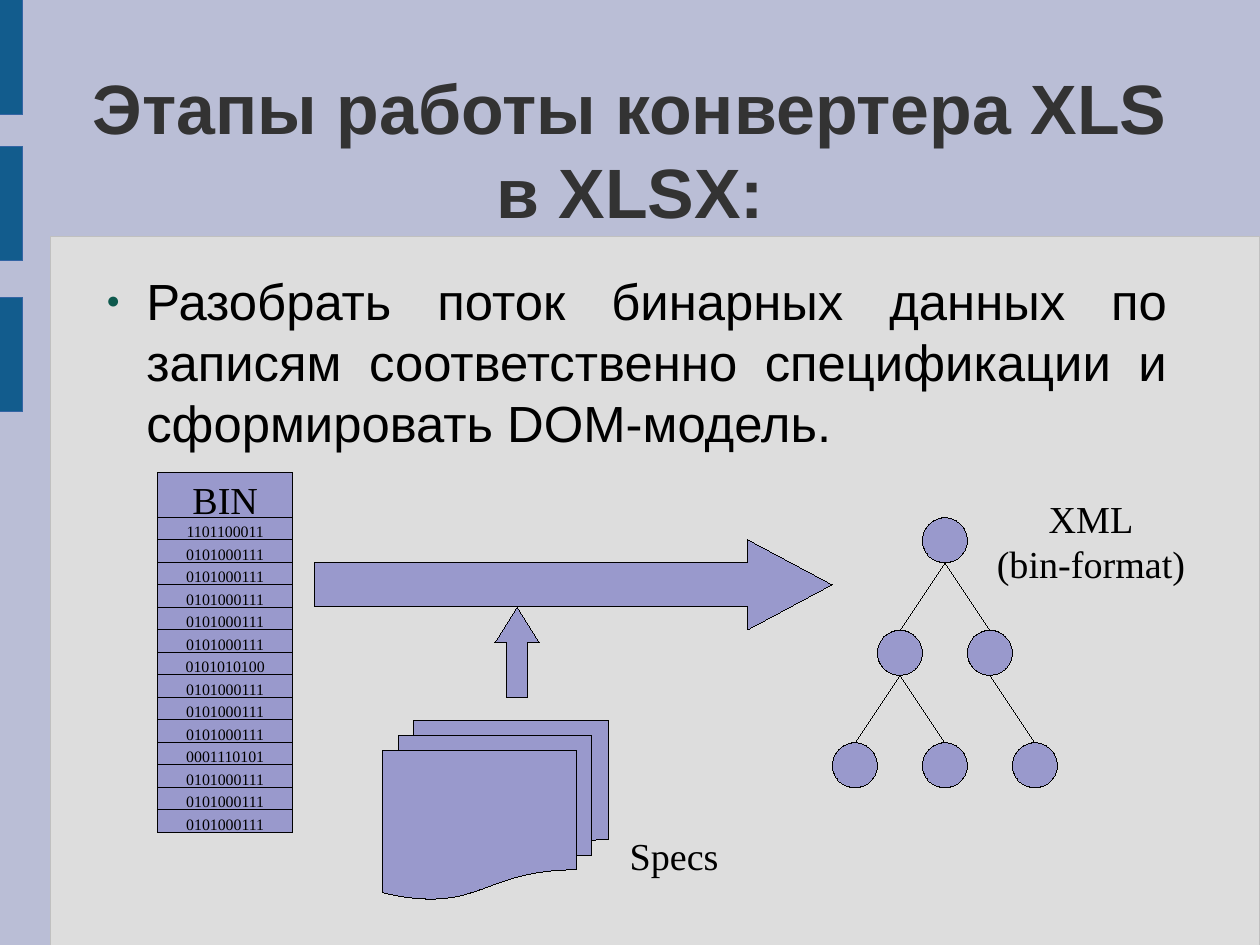
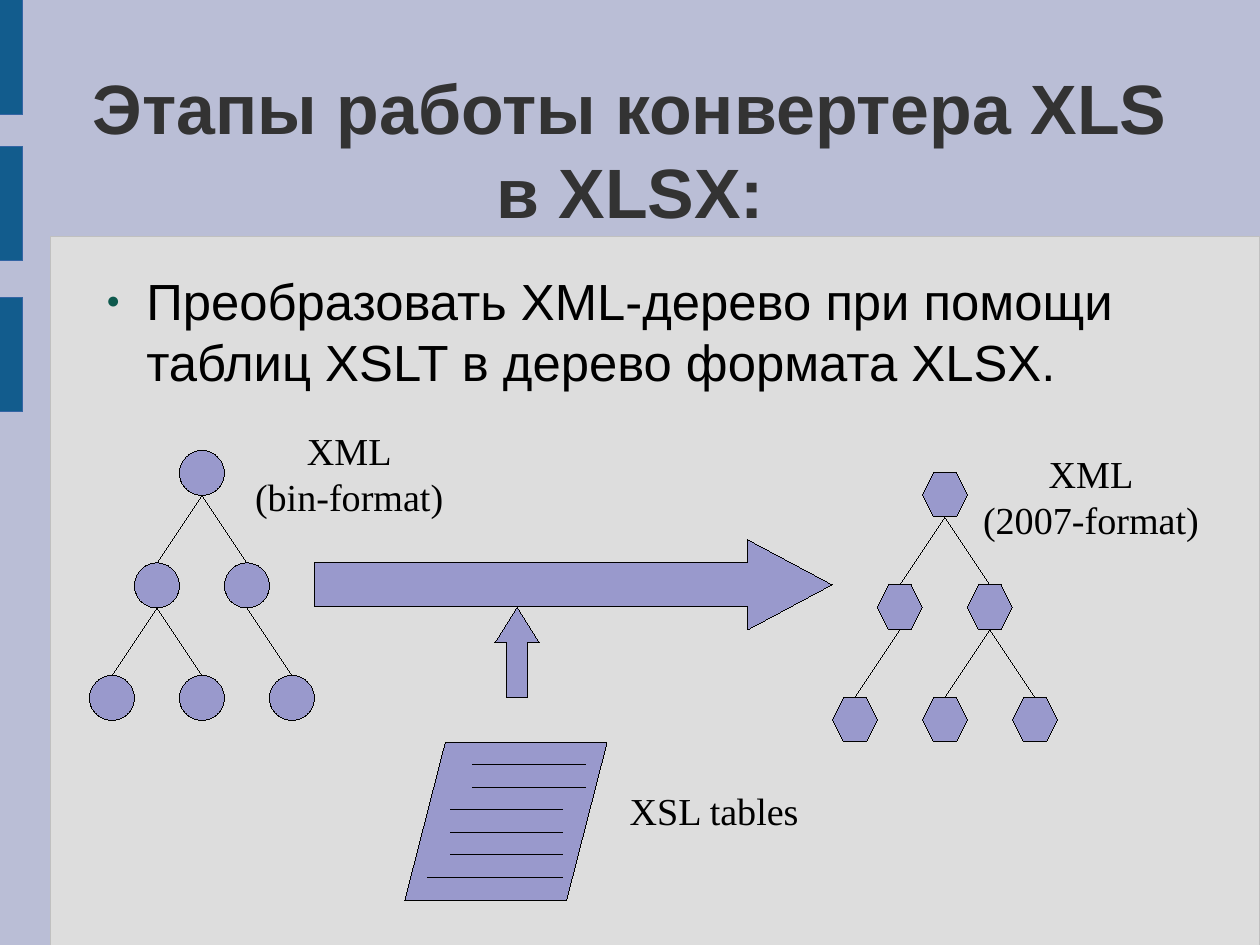
from dataclasses import dataclass

from lxml import etree
from pptx import Presentation
from pptx.dml.color import RGBColor
from pptx.enum.shapes import MSO_CONNECTOR, MSO_SHAPE
from pptx.enum.text import MSO_ANCHOR, PP_ALIGN
from pptx.oxml.ns import qn
from pptx.util import Inches, Pt

STRAIGHT = MSO_CONNECTOR.STRAIGHT
RECTANGLE = MSO_SHAPE.RECTANGLE
ELLIPSE = MSO_SHAPE.OVAL
HEXAGON = MSO_SHAPE.HEXAGON
RIGHT_ARROW = MSO_SHAPE.RIGHT_ARROW
UP_ARROW = MSO_SHAPE.UP_ARROW
DOCUMENTS = MSO_SHAPE.FLOWCHART_MULTIDOCUMENT
SHEET = MSO_SHAPE.FLOWCHART_DATA
TOP, MIDDLE = MSO_ANCHOR.TOP, MSO_ANCHOR.MIDDLE
LEFT, CENTER, JUSTIFY = PP_ALIGN.LEFT, PP_ALIGN.CENTER, PP_ALIGN.JUSTIFY


@dataclass(frozen=True)
class Theme:
    background: str = "BABED6"
    panel: str = "DDDDDD"
    panel_edge: str = "C0C0C0"
    band: str = "125C8D"
    band_edge: str = "3465A4"
    title: str = "333333"
    ink: str = "000000"
    bullet: str = "0E594D"
    figure: str = "9999CC"
    heading_font: str = "Arial"
    label_font: str = "Times New Roman"
    title_size: int = 44
    body_size: int = 32
    label_size: int = 24
    bits_size: int = 10
    hairline: float = 0.01


THEME = Theme()
TITLE = "Этапы работы конвертера XLS в XLSX:"

# The slide is 28 by 21 centimetres, and the diagrams sit on a metric grid
CM = 1 / 2.54
SLIDE_WIDTH, SLIDE_HEIGHT = 28 * CM, 21 * CM
ROW = 0.5 * CM

# Tree geometry: node size, half the gap between siblings, level height
NODE, HALF_GAP, LEVEL = CM, CM, 2.5 * CM
# Each node: column in half gaps from the root, level
TREE_NODES = [(0, 0), (-1, 1), (1, 1), (-2, 2), (0, 2), (2, 2)]
LEFT_HEAVY = [(0, 1), (0, 2), (1, 3), (1, 4), (2, 5)]
RIGHT_HEAVY = [(0, 1), (0, 2), (1, 3), (2, 4), (2, 5)]

COMMON_BITS = "0101000111"
OTHER_BITS = {0: "1101100011", 6: "0101010100", 10: "0001110101"}
BITS = [OTHER_BITS.get(row, COMMON_BITS) for row in range(14)]


def color(value):
    return RGBColor.from_string(value)


def write(frame, text, size=THEME.label_size, font=THEME.label_font,
          ink=THEME.ink, bold=False, align=LEFT, anchor=TOP,
          margin_top=0, bullet=False):
    """Put one formatted paragraph into a text frame."""
    frame.word_wrap = True
    frame.vertical_anchor = anchor
    frame.margin_left = frame.margin_right = frame.margin_bottom = 0
    frame.margin_top = Inches(margin_top)
    paragraph = frame.paragraphs[0]
    paragraph.text = text
    paragraph.alignment = align
    if bullet:
        add_bullet(paragraph)
    for run in paragraph.runs:
        run.font.size = Pt(size)
        run.font.name = font
        run.font.bold = bold
        run.font.color.rgb = color(ink)


def add_bullet(paragraph):
    properties = paragraph._p.get_or_add_pPr()
    properties.set("marL", str(Inches(0.47)))
    properties.set("indent", str(Inches(-0.35)))
    tint = etree.SubElement(properties, qn("a:buClr"))
    etree.SubElement(tint, qn("a:srgbClr"), val=THEME.bullet)
    etree.SubElement(properties, qn("a:buSzPct"), val="45000")
    etree.SubElement(properties, qn("a:buFont"), typeface=THEME.heading_font)
    etree.SubElement(properties, qn("a:buChar"), char="●")


def add_text(slide, text, left, top, width, height, **style):
    box = slide.shapes.add_textbox(*map(Inches, (left, top, width, height)))
    write(box.text_frame, text, **style)


def add_figure(slide, kind, left, top, width, height, fill=THEME.figure,
               edge=THEME.ink, adjustments=()):
    figure = slide.shapes.add_shape(
        kind, *map(Inches, (left, top, width, height)))
    figure.shadow.inherit = False
    figure.fill.solid()
    figure.fill.fore_color.rgb = color(fill)
    figure.line.color.rgb = color(edge)
    figure.line.width = Pt(THEME.hairline)
    for index, value in enumerate(adjustments):
        figure.adjustments[index] = value
    return figure


def add_line(slide, *ends):
    line = slide.shapes.add_connector(STRAIGHT, *map(Inches, ends))
    line.line.color.rgb = color(THEME.ink)
    line.line.width = Pt(THEME.hairline)
    etree.SubElement(line._element.spPr, qn("a:effectLst"))


def add_tree(slide, kind, root_left, root_top, branches):
    corners = [(root_left + column * HALF_GAP, root_top + level * LEVEL)
               for column, level in TREE_NODES]
    for parent, child in branches:
        parent_left, parent_top = corners[parent]
        child_left, child_top = corners[child]
        add_line(slide, parent_left + NODE / 2, parent_top + NODE,
                 child_left + NODE / 2, child_top)
    for left, top in corners:
        add_figure(slide, kind, left, top, NODE, NODE)


def add_bin_file(slide, left, top, width, height):
    """Draw a file as a block ruled into records of bits."""
    block = add_figure(slide, RECTANGLE, left, top, width, height)
    write(block.text_frame, "BIN", align=CENTER, margin_top=0.04)
    first_record = top + height - len(BITS) * ROW
    for index, bits in enumerate(BITS):
        record_top = first_record + index * ROW
        add_line(slide, left, record_top, left + width, record_top)
        add_text(slide, bits, left, record_top, width, 0.23, align=CENTER,
                 size=THEME.bits_size, margin_top=0.04)


def add_process_arrows(slide):
    add_figure(slide, RIGHT_ARROW, 2.75, 4.72, 4.53, 0.79,
               adjustments=(0.487, 0.935))
    add_figure(slide, UP_ARROW, 4.33, 5.31, 0.39, 0.79,
               adjustments=(0.459, 0.803))


def add_stage(deck, step, align):
    """Start a slide with the frame, title and bullet all stages share."""
    slide = deck.slides.add_slide(deck.slide_layouts[6])
    slide.background.fill.solid()
    slide.background.fill.fore_color.rgb = color(THEME.background)
    add_figure(slide, RECTANGLE, 0.44, 2.07, 10.58, 6.2,
               THEME.panel, THEME.panel_edge)
    for band_top in (0, 1.28, 2.6):
        add_figure(slide, RECTANGLE, 0, band_top, 0.2, 1,
                   THEME.band, THEME.band_edge)
    add_text(slide, TITLE, 0.81, 0.61, 9.41, 1.38, anchor=MIDDLE,
             size=THEME.title_size, font=THEME.heading_font,
             ink=THEME.title, bold=True, align=CENTER)
    add_text(slide, step, 0.81, 2.36, 9.41, 1.75, size=THEME.body_size,
             font=THEME.heading_font, align=align, bullet=True)
    add_process_arrows(slide)
    return slide


def build_parsing(deck):
    slide = add_stage(
        deck, "Разобрать поток бинарных данных по записям соответственно "
        "спецификации и сформировать DOM-модель.", JUSTIFY)
    # Binary records
    add_bin_file(slide, 1.38, 4.13, 1.18, 3.15)
    # Specifications
    add_figure(slide, DOCUMENTS, 3.35, 6.3, 1.97, 1.57)
    add_text(slide, "Specs", 5.51, 7.28, 2.36, 0.46)
    # Resulting model
    add_tree(slide, ELLIPSE, 8.07, 4.53, LEFT_HEAVY)
    add_text(slide, "XML\n(bin-format)", 8.46, 4.33, 2.17, 0.91, align=CENTER)


def build_transformation(deck):
    slide = add_stage(
        deck, "Преобразовать XML-дерево при помощи таблиц XSLT "
        "в дерево формата XLSX.", LEFT)
    # Source tree
    add_tree(slide, ELLIPSE, 1.57, 3.94, LEFT_HEAVY)
    add_text(slide, "XML\n(bin-format)", 1.97, 3.74, 2.17, 0.91, align=CENTER)
    # Stylesheet with its text lines
    add_figure(slide, SHEET, 3.54, 6.5, 1.77, 1.38)
    line_spans = [(4.13, 5.12)] * 2 + [(3.94, 4.92)] * 3 + [(3.74, 4.92)]
    for row, (start, end) in enumerate(line_spans):
        line_top = 6.69 + row * ROW
        add_line(slide, start, line_top, end, line_top)
    add_text(slide, "XSL tables", 5.51, 6.89, 2.36, 0.46)
    # Resulting tree
    add_tree(slide, HEXAGON, 8.07, 4.13, RIGHT_HEAVY)
    add_text(slide, "XML\n(2007-format)", 8.46, 3.94, 2.17, 0.91, align=CENTER)


def main():
    deck = Presentation()
    deck.slide_width = Inches(SLIDE_WIDTH)
    deck.slide_height = Inches(SLIDE_HEIGHT)
    build_parsing(deck)
    build_transformation(deck)
    deck.save("out.pptx")


if __name__ == "__main__":
    main()
